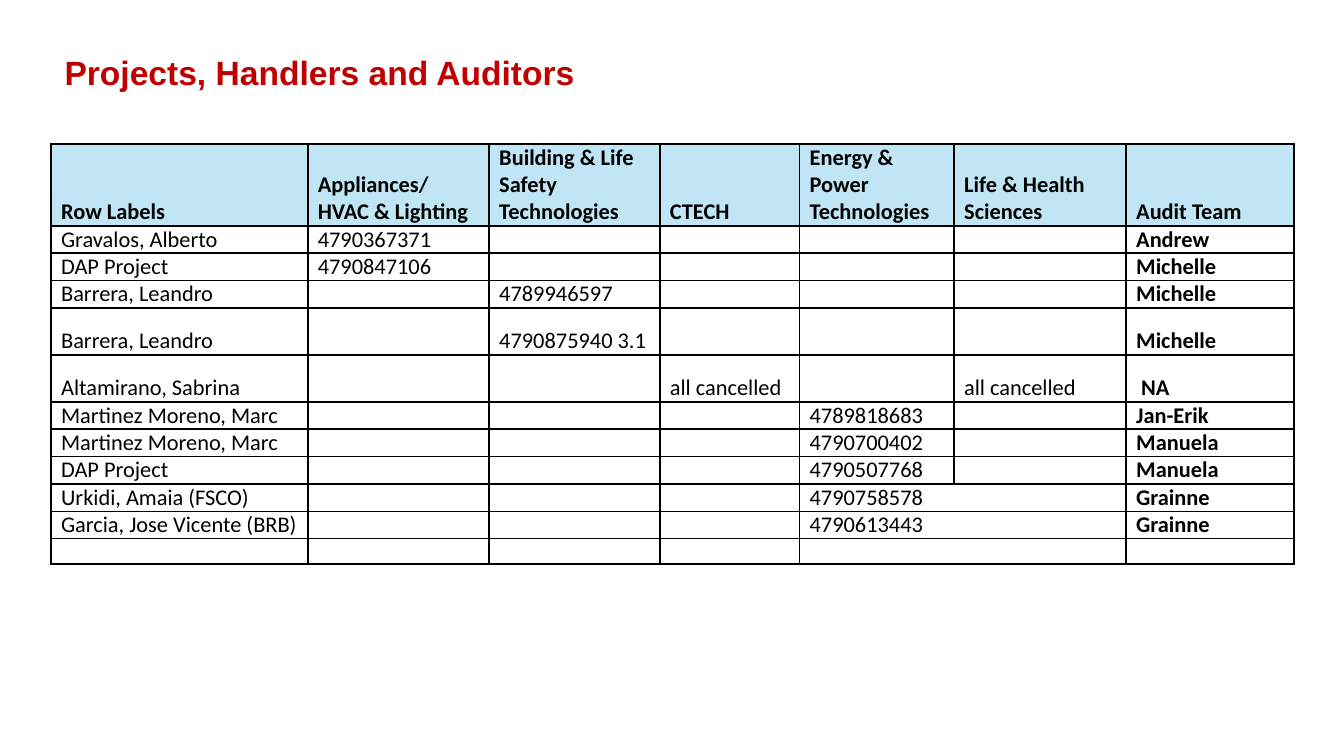
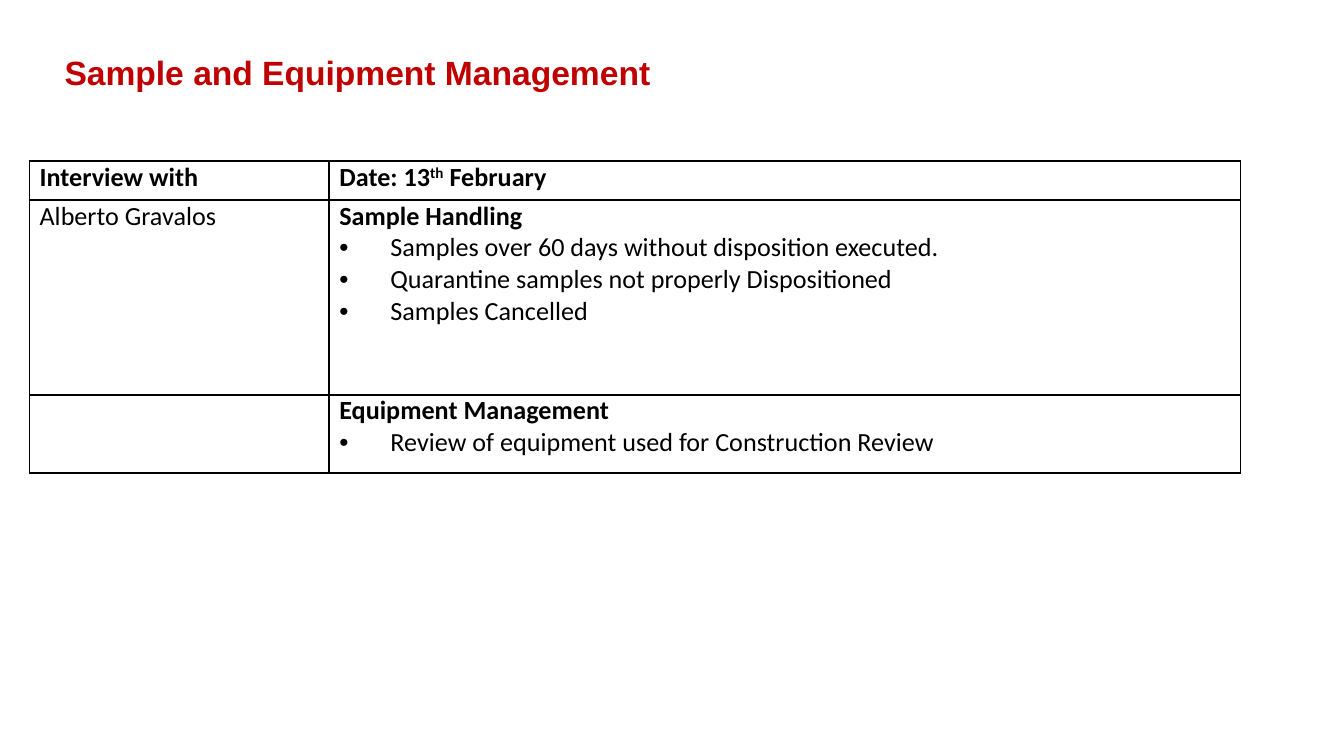
from lxml import etree
from pptx import Presentation
from pptx.dml.color import RGBColor
from pptx.enum.text import MSO_ANCHOR, MSO_AUTO_SIZE, PP_ALIGN
from pptx.oxml.ns import qn
from pptx.util import Inches, Pt

TOP, BOTTOM = MSO_ANCHOR.TOP, MSO_ANCHOR.BOTTOM
LEFT = PP_ALIGN.LEFT
NO_AUTOFIT = MSO_AUTO_SIZE.NONE
TITLE_ONLY = 5

RED = RGBColor(0xC0, 0x00, 0x00)
BLACK = RGBColor(0x00, 0x00, 0x00)
WHITE = RGBColor(0xFF, 0xFF, 0xFF)
PALE_BLUE = RGBColor(0xC0, 0xE6, 0xF5)

PAGE_WIDTH = Inches(10)
PAGE_HEIGHT = PAGE_WIDTH * 9 // 16

TITLE_FONT = {"name": "Arial", "size": Pt(18), "bold": True}
CELL_FONT = {"name": "Calibri", "bold": False}
CELL_MARGINS = {"margin_left": Pt(5.4), "margin_right": Pt(5.4),
                "margin_top": 0, "margin_bottom": 0}
BORDER_SIDES = ("a:lnL", "a:lnR", "a:lnT", "a:lnB")
BULLET_INDENT = Inches(0.38)
EMPTY_SIZE = Pt(10)

PROJECT_WIDTHS = (1.91, 1.35, 1.27, 1.04, 1.15, 1.28, 1.25)
PROJECT_HEIGHTS = (0.52, 0.18, 0.18, 0.18, 0.35, 0.35,
                   0.18, 0.18, 0.18, 0.18, 0.18, 0.19)
PROJECT_HEADS = ("Row Labels", "Appliances/HVAC & Lighting",
                 "Building & Life Safety Technologies", "CTECH",
                 "Energy & Power Technologies", "Life & Health Sciences",
                 "Audit Team")
HVAC, SAFETY, CTECH, ENERGY, HEALTH, AUDITOR = range(1, 7)
PROJECTS = (
    ("Gravalos, Alberto", {HVAC: "4790367371"}, "Andrew"),
    ("DAP Project", {HVAC: "4790847106"}, "Michelle"),
    ("Barrera, Leandro", {SAFETY: "4789946597"}, "Michelle"),
    ("Barrera, Leandro", {SAFETY: "4790875940 3.1"}, "Michelle"),
    ("Altamirano, Sabrina",
     {CTECH: "all cancelled", HEALTH: "all cancelled"}, " NA"),
    ("Martinez Moreno, Marc", {ENERGY: "4789818683"}, "Jan-Erik"),
    ("Martinez Moreno, Marc", {ENERGY: "4790700402"}, "Manuela"),
    ("DAP Project", {ENERGY: "4790507768"}, "Manuela"),
    ("Urkidi, Amaia (FSCO)", {ENERGY: "4790758578"}, "Grainne"),
    ("Garcia, Jose Vicente (BRB)", {ENERGY: "4790613443"}, "Grainne"),
    ("", {}, ""),
)
MERGED_ROWS = (9, 10, 11)

INTERVIEW_WIDTHS = (2.23, 6.78)
INTERVIEW_HEIGHTS = (0.29, 1.45, 0.58)
SAMPLE_POINTS = ("Samples over 60 days without disposition executed.",
                 "Quarantine samples not properly Dispositioned",
                 "Samples Cancelled")
EQUIPMENT_POINTS = ("Review of equipment used for Construction Review",)


def apply_format(target, values):
    """Set each named attribute of the target."""
    for name, value in values.items():
        setattr(target, name, value)


def add_page(deck, heading):
    """Add a page with the shared red title."""
    page = deck.slides.add_slide(deck.slide_layouts[TITLE_ONLY])
    title = page.shapes.title
    apply_format(title, {"left": Inches(0.38), "top": Inches(0.37),
                         "width": Inches(9.25), "height": Inches(0.45)})
    title.fill.solid()
    title.fill.fore_color.rgb = WHITE
    frame = title.text_frame
    apply_format(frame, {"text": heading, "word_wrap": True,
                         "auto_size": NO_AUTOFIT, "vertical_anchor": TOP})
    para = frame.paragraphs[0]
    apply_format(para, {"alignment": LEFT, "line_spacing": 0.9})
    font = para.runs[0].font
    apply_format(font, TITLE_FONT)
    font.color.rgb = RED
    return page


def add_borders(cell):
    """Draw a thin black line on every side of a cell."""
    properties = cell._tc.get_or_add_tcPr()
    for index, side in enumerate(BORDER_SIDES):
        line = etree.Element(qn(side), w=str(Pt(1)))
        fill = etree.SubElement(line, qn("a:solidFill"))
        etree.SubElement(fill, qn("a:srgbClr"), val=str(BLACK))
        properties.insert(index, line)


def add_grid(page, left, top, widths, heights, anchor):
    """Add a plain bordered table and return it."""
    frame = page.shapes.add_table(
        len(heights), len(widths), Inches(left), Inches(top),
        Inches(sum(widths)), Inches(sum(heights)))
    table = frame.table
    apply_format(table, {"first_row": False, "horz_banding": False})
    for column, width in zip(table.columns, widths):
        column.width = Inches(width)
    for row, height in zip(table.rows, heights):
        row.height = Inches(height)
    for cell in table.iter_cells():
        apply_format(cell, CELL_MARGINS)
        cell.vertical_anchor = anchor
        cell.fill.background()
        add_borders(cell)
        etree.SubElement(cell.text_frame.paragraphs[0]._p,
                         qn("a:endParaRPr"), sz=str(int(EMPTY_SIZE.pt * 100)))
    return table


def add_span(para, text, size, bold=False):
    """Add a run of table text and return it."""
    span = para.add_run()
    span.text = text
    apply_format(span.font, {**CELL_FONT, "size": Pt(size), "bold": bold})
    span.font.color.rgb = BLACK
    return span


def write_cell(cell, text, size, bold=False):
    """Write one line of text in a cell, if there is any."""
    if text:
        add_span(cell.text_frame.paragraphs[0], text, size, bold)


def write_topic(cell, heading, points):
    """Write a bold heading followed by bullet points."""
    write_cell(cell, heading, 14, True)
    for point in points:
        para = cell.text_frame.add_paragraph()
        properties = para._p.get_or_add_pPr()
        properties.set("marL", str(BULLET_INDENT))
        properties.set("indent", str(-BULLET_INDENT))
        etree.SubElement(properties, qn("a:buFont"), typeface="Arial")
        etree.SubElement(properties, qn("a:buChar"), char="•")
        add_span(para, point, 14)


def add_projects_page(deck):
    """Build the table of projects, handlers and auditors."""
    page = add_page(deck, "Projects, Handlers and Auditors")
    table = add_grid(page, 0.38, 1.07, PROJECT_WIDTHS, PROJECT_HEIGHTS, BOTTOM)
    for column, head in enumerate(PROJECT_HEADS):
        cell = table.cell(0, column)
        cell.fill.solid()
        cell.fill.fore_color.rgb = PALE_BLUE
        write_cell(cell, head, 12, True)
    for row, (handler, numbers, auditor) in enumerate(PROJECTS, start=1):
        for column, text in {0: handler, **numbers, AUDITOR: auditor}.items():
            write_cell(table.cell(row, column), text, 12, column == AUDITOR)
    for row in MERGED_ROWS:
        table.cell(row, ENERGY).merge(table.cell(row, HEALTH))


def add_interview_page(deck):
    """Build the table of interview topics."""
    page = add_page(deck, "Sample and Equipment Management")
    table = add_grid(page, 0.22, 1.2, INTERVIEW_WIDTHS, INTERVIEW_HEIGHTS, TOP)
    write_cell(table.cell(0, 0), "Interview with", 14, True)
    date = table.cell(0, 1).text_frame.paragraphs[0]
    add_span(date, "Date: 13", 14, True)
    ordinal = add_span(date, "th", 14, True)
    ordinal._r.get_or_add_rPr().set("baseline", "30000")
    add_span(date, " February", 14, True)
    write_cell(table.cell(1, 0), "Alberto Gravalos", 14)
    write_topic(table.cell(1, 1), "Sample Handling", SAMPLE_POINTS)
    write_topic(table.cell(2, 1), "Equipment Management", EQUIPMENT_POINTS)


def main():
    """Build and save the deck."""
    deck = Presentation()
    apply_format(deck, {"slide_width": PAGE_WIDTH, "slide_height": PAGE_HEIGHT})
    add_projects_page(deck)
    add_interview_page(deck)
    deck.save("out.pptx")


if __name__ == "__main__":
    main()
